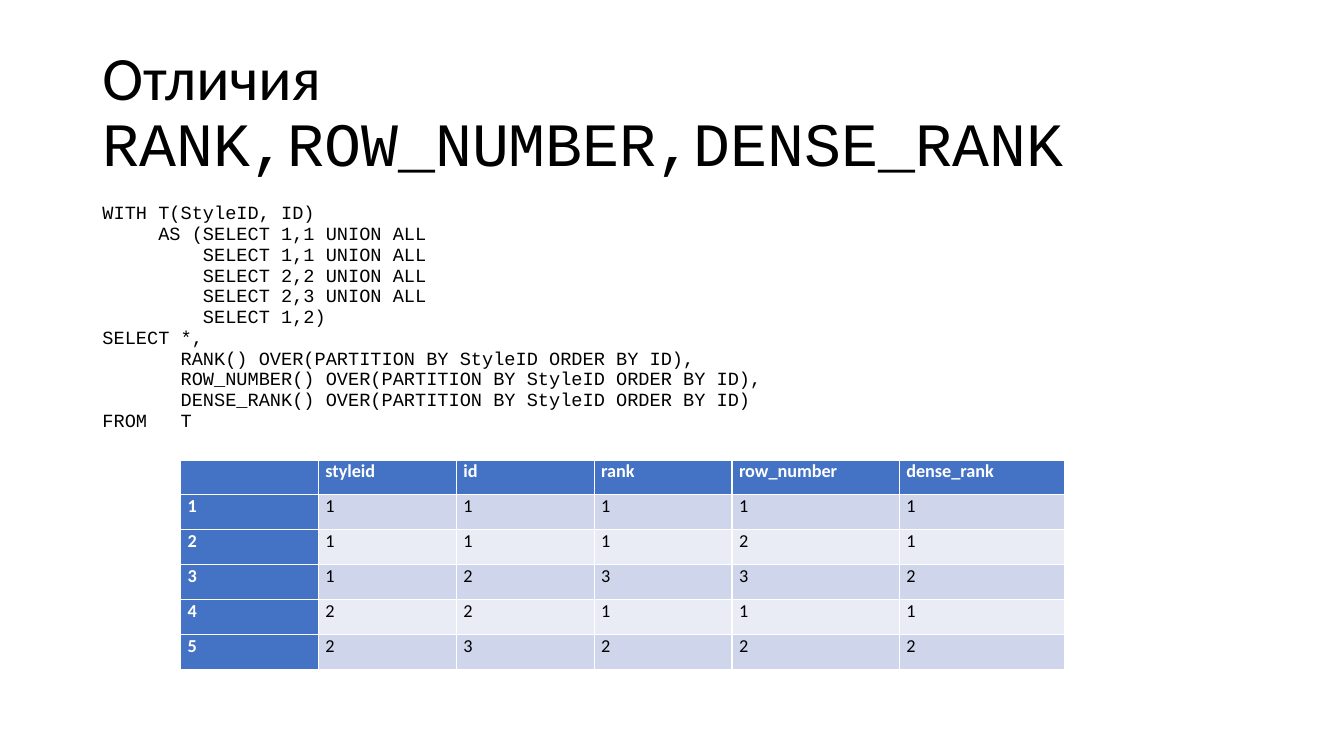
"""Build a slide comparing the SQL functions RANK, ROW_NUMBER and DENSE_RANK."""
from lxml import etree
from pptx import Presentation
from pptx.dml.color import RGBColor
from pptx.enum.text import MSO_ANCHOR, MSO_AUTO_SIZE, PP_ALIGN
from pptx.oxml.ns import qn
from pptx.util import Pt

LEFT, MIDDLE, TOP = PP_ALIGN.LEFT, MSO_ANCHOR.MIDDLE, MSO_ANCHOR.TOP
NO_AUTOFIT = MSO_AUTO_SIZE.NONE
SANS, MONO = "Calibri", "Courier New"
BLACK, WHITE, BLUE = "000000", "FFFFFF", "4472C4"
BANDS = ("CFD5EA", "E9EBF5")

TITLE = (("Отличия ", SANS), ("RANK,ROW_NUMBER,DENSE_RANK", MONO))
QUERY = """WITH T(StyleID, ID)
     AS (SELECT 1,1 UNION ALL
         SELECT 1,1 UNION ALL
         SELECT 2,2 UNION ALL
         SELECT 2,3 UNION ALL
         SELECT 1,2)
SELECT *,
       RANK() OVER(PARTITION BY StyleID ORDER BY ID),
       ROW_NUMBER() OVER(PARTITION BY StyleID ORDER BY ID),
       DENSE_RANK() OVER(PARTITION BY StyleID ORDER BY ID)
FROM   T"""
RESULT = (
    ("", "styleid", "id", "rank", "row_number", "dense_rank"),
    (1, 1, 1, 1, 1, 1),
    (2, 1, 1, 1, 2, 1),
    (3, 1, 2, 3, 3, 2),
    (4, 2, 2, 1, 1, 1),
    (5, 2, 3, 2, 2, 2),
)
COLUMN_WIDTHS = (98.5, 98.5, 98.5, 98.5, 119.5, 118)
ROW_HEIGHT = 25


def color(value):
    return RGBColor.from_string(value)


def format_font(font, name, size, fill=BLACK, bold=False):
    font.name, font.size, font.bold = name, Pt(size), bold
    font.color.rgb = color(fill)


def place(shape, left, top, width, height, anchor):
    shape.left, shape.top = Pt(left), Pt(top)
    shape.width, shape.height = Pt(width), Pt(height)
    frame = shape.text_frame
    frame.word_wrap, frame.auto_size = True, NO_AUTOFIT
    frame.vertical_anchor = anchor
    return frame


def fill_title(shape):
    paragraph = place(shape, 66, 28.75, 828, 104.4, MIDDLE).paragraphs[0]
    paragraph.alignment, paragraph.line_spacing = LEFT, 0.9
    for text, font_name in TITLE:
        run = paragraph.add_run()
        run.text = text
        format_font(run.font, font_name, 44)


def fill_query(shape):
    frame = place(shape, 66, 144, 828, 174, TOP)
    frame.text = QUERY
    for index, paragraph in enumerate(frame.paragraphs):
        properties = paragraph._p.get_or_add_pPr()
        properties.set("marL", "0")
        properties.set("indent", "0")
        etree.SubElement(properties, qn("a:buNone"))
        paragraph.alignment, paragraph.line_spacing = LEFT, 0.74
        paragraph.space_before = Pt(3 if index else 0)
        format_font(paragraph.runs[0].font, MONO, 13.3)


def add_result(slide):
    table = slide.shapes.add_table(
        len(RESULT), len(COLUMN_WIDTHS), Pt(129), Pt(328.5),
        Pt(sum(COLUMN_WIDTHS)), Pt(ROW_HEIGHT * len(RESULT))).table
    table.first_col = True
    for column, width in zip(table.columns, COLUMN_WIDTHS):
        column.width = Pt(width)
    for row_index, values in enumerate(RESULT):
        for column_index, value in enumerate(values):
            heading = row_index == 0 or column_index == 0
            cell = table.cell(row_index, column_index)
            cell.fill.solid()
            cell.fill.fore_color.rgb = color(
                BLUE if heading else BANDS[(row_index - 1) % 2])
            cell.margin_left = cell.margin_right = Pt(5)
            cell.margin_top = cell.margin_bottom = Pt(0)
            cell.text = str(value)
            for run in cell.text_frame.paragraphs[0].runs:
                format_font(run.font, SANS, 13,
                            WHITE if heading else BLACK, heading)


def main():
    presentation = Presentation()
    presentation.slide_width, presentation.slide_height = Pt(960), Pt(540)
    slide = presentation.slides.add_slide(presentation.slide_layouts[1])
    fill_title(slide.shapes.title)
    fill_query(slide.placeholders[1])
    add_result(slide)
    presentation.save("out.pptx")


if __name__ == "__main__":
    main()
